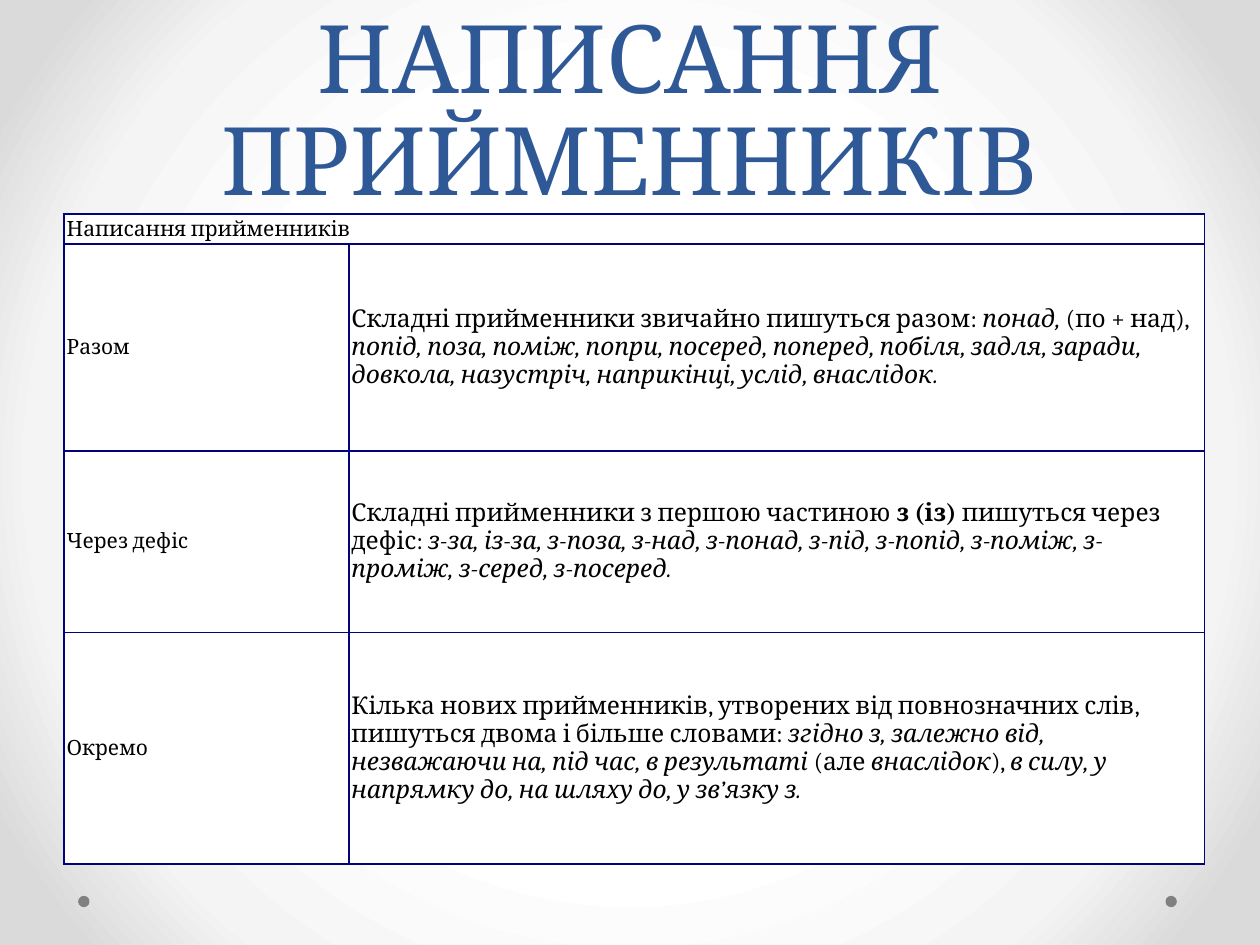
"""Build a slide with a table of spelling rules for Ukrainian prepositions."""
from pptx import Presentation
from pptx.dml.color import RGBColor
from pptx.enum.shapes import MSO_SHAPE
from pptx.enum.text import MSO_ANCHOR, PP_ALIGN
from pptx.oxml import parse_xml
from pptx.oxml.ns import nsdecls, qn
from pptx.util import Inches, Pt

TITLE = "НАПИСАННЯ ПРИЙМЕННИКІВ"
HEADING = "Написання прийменників"
RULES = [
    ("Разом", [
        ("Складні прийменники звичайно пишуться разом: ", ""),
        ("понад,", "i"),
        (" (по + над), ", ""),
        ("попід, поза, поміж, попри, посеред, поперед, побіля, задля, заради, "
         "довкола, назустріч, наприкінці, услід, внаслідок.", "i"),
    ]),
    ("Через дефіс", [
        ("Складні прийменники з першою частиною ", ""),
        ("з (із) ", "b"),
        ("пишуться через дефіс: ", ""),
        ("з-за, із-за, з-поза, з-над, з-понад, з-під, з-попід, з-поміж, "
         "з-проміж, з-серед, з-посеред.", "i"),
    ]),
    ("Окремо", [
        ("Кілька нових прийменників, утворених від повнозначних слів, "
         "пишуться двома і більше словами: ", ""),
        ("згідно з, залежно від, незважаючи на, під час, в результаті", "i"),
        (" (але ", ""),
        ("внаслідок", "i"),
        ("), ", ""),
        ("в силу, у напрямку до, на шляху до, у зв’язку з.", "i"),
    ]),
]
WIDTH, HEIGHT = 10, 7.5
COLUMNS = [2.26, 6.79]
ROWS = [0.24, 1.64, 1.44, 1.84]
BACKDROP = [(50, "FFFFFF"), (76, "F4F4F4"), (92, "DADADA")]
BORDER, BORDER_PT = "030379", 1.2
DOT, DOT_LEFTS, DOT_TOP = 0.09, (0.62, 9.25), 7.11


def color(value):
    return RGBColor.from_string(value)


def write(frame, text, size=12, ink="000000", align=None, spacing=None):
    """Write a string or a list of (text, style) runs into a text frame."""
    paragraph = frame.paragraphs[0]
    if align is not None:
        paragraph.alignment = align
    if spacing:
        paragraph.line_spacing = Pt(spacing)
    for words, style in [(text, "")] if isinstance(text, str) else text:
        run = paragraph.add_run()
        run.text = words
        run.font.name = "Cambria"
        run.font.size = Pt(size)
        run.font.color.rgb = color(ink)
        run.font.bold = style == "b"
        run.font.italic = style == "i"


def paint_backdrop(slide):
    slide.background.fill.gradient()
    gradient = next(slide.element.iter(qn("a:gradFill")))
    stops = "".join(f'<a:gs pos="{share * 1000}"><a:srgbClr val="{value}"/></a:gs>'
                    for share, value in BACKDROP)
    center = " ".join(f'{side}="50000"' for side in "ltrb")
    gradient.getparent().replace(gradient, parse_xml(
        f'<a:gradFill {nsdecls("a")} rotWithShape="1"><a:gsLst>{stops}</a:gsLst>'
        f'<a:path path="circle"><a:fillToRect {center}/></a:path></a:gradFill>'))


def style_cell(cell):
    cell.margin_left = cell.margin_right = Inches(0.02)
    cell.margin_top = cell.margin_bottom = Inches(0.02)
    cell.vertical_anchor = MSO_ANCHOR.MIDDLE
    properties = cell._tc.get_or_add_tcPr()
    for side in "LRTB":
        properties.append(parse_xml(
            f'<a:ln{side} {nsdecls("a")} w="{int(Pt(BORDER_PT))}"><a:solidFill>'
            f'<a:srgbClr val="{BORDER}"/></a:solidFill></a:ln{side}>'))
    cell.fill.solid()
    cell.fill.fore_color.rgb = color("FFFFFF")


def add_rules(slide):
    table = slide.shapes.add_table(
        len(ROWS), len(COLUMNS), Inches(0.51), Inches(1.7),
        Inches(sum(COLUMNS)), Inches(sum(ROWS))).table
    table.first_row = table.horz_banding = False
    for column, width in zip(table.columns, COLUMNS):
        column.width = Inches(width)
    for row, height in zip(table.rows, ROWS):
        row.height = Inches(height)
    for cell in table.iter_cells():
        style_cell(cell)
    table.cell(0, 0).merge(table.cell(0, 1))
    write(table.cell(0, 0).text_frame, HEADING)
    for row, (manner, rule) in enumerate(RULES, 1):
        write(table.cell(row, 0).text_frame, manner)
        write(table.cell(row, 1).text_frame, rule, size=14)


def main():
    deck = Presentation()
    deck.slide_width, deck.slide_height = Inches(WIDTH), Inches(HEIGHT)
    slide = deck.slides.add_slide(deck.slide_layouts[6])
    paint_backdrop(slide)
    for left in DOT_LEFTS:
        dot = slide.shapes.add_shape(MSO_SHAPE.OVAL, Inches(left), Inches(DOT_TOP),
                                     Inches(DOT), Inches(DOT))
        dot.shadow.inherit = False
        dot.fill.solid()
        dot.fill.fore_color.rgb = color("808080")
        dot.line.fill.background()
    title = slide.shapes.add_textbox(Inches(0.05 * WIDTH), 0,
                                     Inches(0.9 * WIDTH), Inches(1.75)).text_frame
    title.word_wrap = True
    title.vertical_anchor = MSO_ANCHOR.BOTTOM
    write(title, TITLE, size=54, ink="2F5897", align=PP_ALIGN.CENTER, spacing=58)
    add_rules(slide)
    deck.save("out.pptx")


if __name__ == "__main__":
    main()
